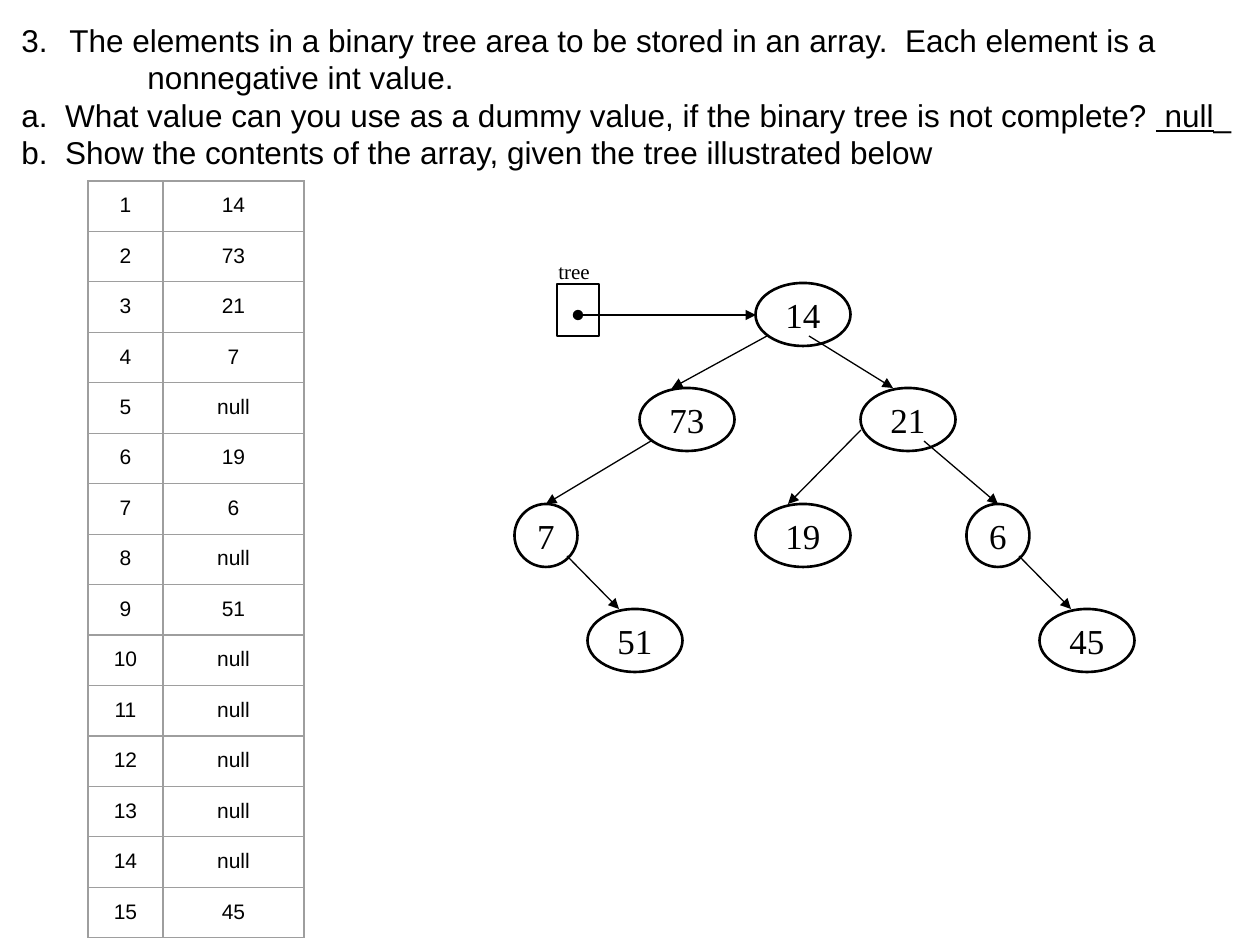
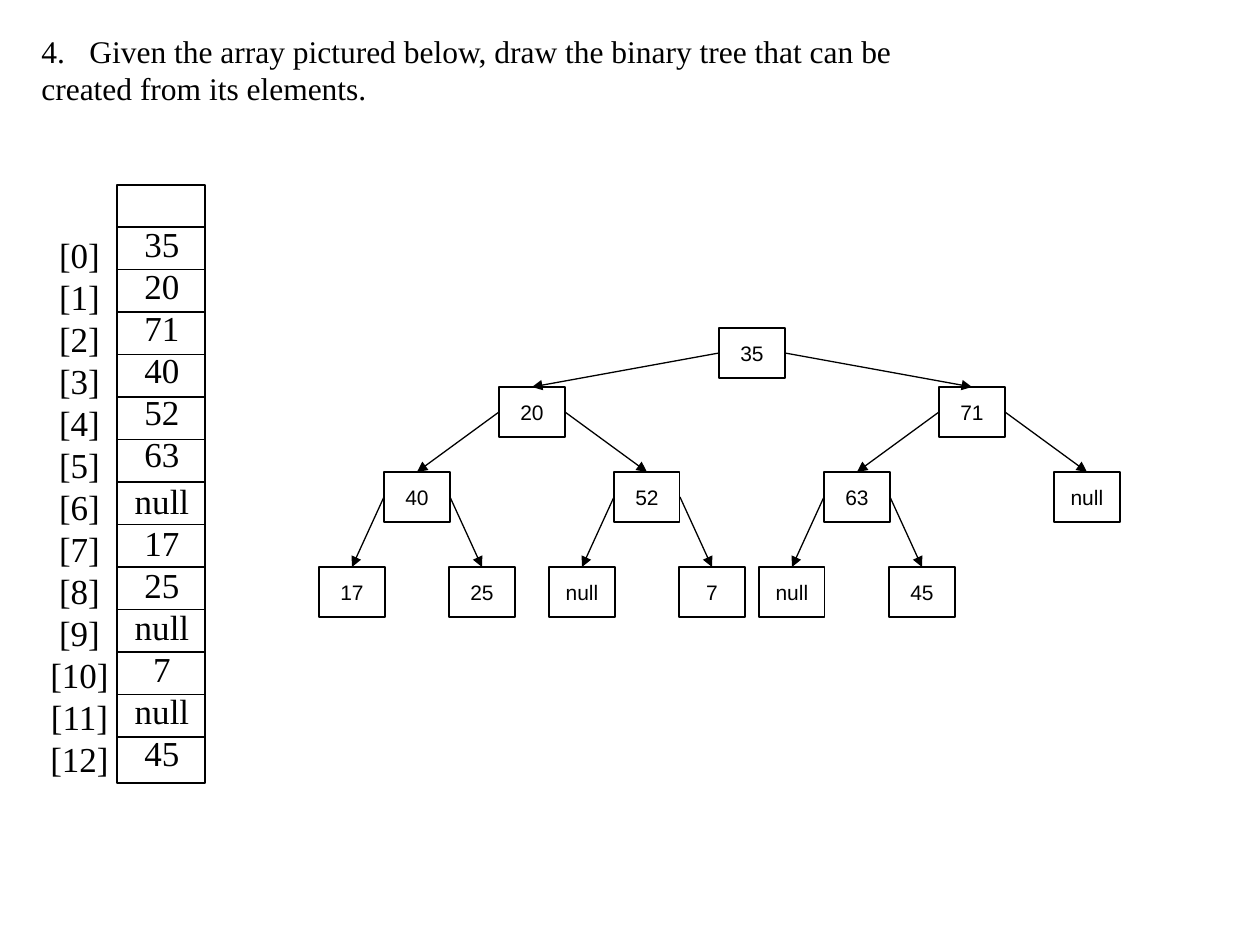
"""Builds two exercise slides about storing binary trees in arrays."""
from pptx import Presentation
from pptx import util as u
from pptx.dml.color import RGBColor
from pptx.enum import shapes, text
from pptx.oxml.ns import qn
from lxml import etree

PX = 914400 / 126
COLORS = {"ink": "000000", "grid": "9E9E9E"}
SANS, SERIF = "Arial", "Times New Roman"
CENTER = text.PP_ALIGN.CENTER
RECT, OVAL = shapes.MSO_SHAPE.RECTANGLE, shapes.MSO_SHAPE.OVAL
INDENT = 48

TABLE_VALUES = [14, 73, 21, 7, "null", 19, 6, "null", 51,
                "null", "null", "null", "null", "null", 45]
# value: (centre x, centre y, width)
OVAL_NODES = {14: (803, 315, 95), 73: (687, 420, 95), 21: (908, 420, 95),
              7: (546, 536, 63), 19: (803, 536, 95), 6: (998, 536, 63),
              51: (635, 641, 95), 45: (1087, 641, 95)}
OVAL_ARROWS = [(767, 336, 672, 388), (809, 336, 893, 388),
               (651, 441, 546, 504), (861, 430, 788, 504),
               (924, 441, 998, 504), (567, 556, 619, 609),
               (1019, 556, 1071, 609)]
HEAP = [35, 20, 71, 40, 52, 63, "null", 17, 25, "null", 7, "null", 45]
LEVEL_TOPS = [328, 387, 472, 567]
CHILD_OFFSETS = [220, 115, 65]


def px(n):
    """Turn pixels into EMU."""
    return u.Emu(round(n * PX))


def rgb(name):
    """Look up a named colour."""
    return RGBColor.from_string(COLORS[name])


def sub(parent, tag, **attrs):
    """Append a DrawingML child element."""
    return etree.SubElement(parent, qn("a:" + tag), attrs)


def style_text(tf, font, size, align=None, line=None):
    """Format every paragraph and run of a text frame."""
    for p in tf.paragraphs:
        p.alignment = align
        if line:
            p.line_spacing = u.Pt(line)
        for r in p.runs:
            r.font.name, r.font.size = font, u.Pt(size)
            r.font.color.rgb = rgb("ink")


def add_text(slide, box, lines, font, size, align=None, line=None, wrap=True):
    """Add a text box with one paragraph for each line."""
    tf = slide.shapes.add_textbox(*map(px, box)).text_frame
    tf.word_wrap = wrap
    tf.text = "\n".join(lines)
    style_text(tf, font, size, align, line)
    return tf


def indent(p, left, hanging=INDENT):
    """Give a paragraph a left margin and a hanging first line."""
    pPr = p._p.get_or_add_pPr()
    pPr.set("marL", str(px(left)))
    pPr.set("indent", str(-px(hanging)))
    return pPr


def number(p, start):
    """Make a paragraph a numbered item with a hanging indent."""
    pPr = indent(p, INDENT)
    sub(pPr, "buFontTx")
    sub(pPr, "buAutoNum", type="arabicPeriod", startAt=str(start))


def add_box(slide, kind, box, label="", font=SANS, size=12, width=0.75):
    """Add an unfilled outlined shape with a centred label."""
    sp = slide.shapes.add_shape(kind, *map(px, box))
    sp.shadow.inherit = False
    sp.fill.background()
    sp.line.color.rgb = rgb("ink")
    sp.line.width = u.Pt(width)
    if label != "":
        tf = sp.text_frame
        tf.text = str(label)
        tf.word_wrap = True
        tf.vertical_anchor = text.MSO_ANCHOR.MIDDLE
        style_text(tf, font, size, CENTER)


def add_line(slide, ends, head=None, tail=None):
    """Add a thin straight line with optional end marks."""
    cx = slide.shapes.add_connector(shapes.MSO_CONNECTOR.STRAIGHT,
                                    *map(px, ends))
    cx.line.color.rgb = rgb("ink")
    cx.line.width = u.Pt(0.75)
    ln = cx.line._get_or_add_ln()
    if head:
        sub(ln, "headEnd", type=head)
    if tail:
        sub(ln, "tailEnd", type=tail)
    sub(cx._element.spPr, "effectLst")


def set_borders(cell):
    """Draw a thin grey line on each side of a cell."""
    tcPr = cell._tc.get_or_add_tcPr()
    for i, side in enumerate(("lnL", "lnR", "lnT", "lnB")):
        ln = etree.Element(qn("a:" + side), w=str(u.Pt(0.75)))
        fill = sub(ln, "solidFill")
        sub(fill, "srgbClr", val=COLORS["grid"])
        tcPr.insert(i, ln)


def add_index_table(slide, values, left, top, widths, height):
    """Add a two-column table of positions and values."""
    frame = slide.shapes.add_table(len(values), 2, px(left), px(top),
                                   px(sum(widths)), px(height))
    table = frame.table
    table.first_row = table.horz_banding = False
    for col, width in zip(table.columns, widths):
        col.width = px(width)
    for i, row in enumerate(table.rows):
        row.height = px(height / len(values))
        for cell, value in zip(row.cells, (i + 1, values[i])):
            cell.text = str(value)
            cell.margin_top = cell.margin_bottom = u.Inches(0.1)
            cell.fill.background()
            style_text(cell.text_frame, SANS, 12, CENTER)
            set_borders(cell)


def add_array(slide, values):
    """Draw the array column with its indexes and values."""
    left, top, width, height = 117, 185, 88, 598
    add_box(slide, RECT, (left, top, width, height))
    count = len(values)
    for i in range(count):
        y = 227 + i * 42.5
        add_line(slide, (left, y, left + width, y))
    add_text(slide, (29, 227, 101, 564), [f"[{i}]" for i in range(count)],
             SERIF, 20, CENTER, 24)
    tf = add_text(slide, (103, 216, 118, 570), [str(v) for v in values],
                  SERIF, 20, CENTER, 24)
    tf.paragraphs[values.index("null")].space_before = u.Pt(3)


def add_heap_tree(slide, values, i=0, level=0, x=752):
    """Draw the node at index i and, below it, its two subtrees."""
    width, height = 66, 50
    top = LEVEL_TOPS[level]
    add_box(slide, RECT, (x - width / 2, top, width, height), values[i])
    for child, side in ((2 * i + 1, -1), (2 * i + 2, 1)):
        if child < len(values):
            child_x = x + side * CHILD_OFFSETS[level]
            add_line(slide, (x + side * width / 2, top + height / 2,
                             child_x, LEVEL_TOPS[level + 1]), tail="triangle")
            add_heap_tree(slide, values, child, level + 1, child_x)


def tree_to_array_slide(slide):
    """Question 3: a linked tree and the table that stores it."""
    tf = add_text(slide, (9, 15, 1246, 165), [
        "The elements in a binary tree area to be stored in an array.  "
        "Each element is a",
        "nonnegative int value.",
        "a.  What value can you use as a dummy value, "
        "if the binary tree is not complete? ",
        "b.  Show the contents of the array, given the tree illustrated below",
    ], SANS, 18)
    first, second, dummy, contents = tf.paragraphs
    for answer, underlined in ((" null", True), ("_", False)):
        r = dummy.add_run()
        r.text = answer
        r.font.underline = underlined
    style_text(tf, SANS, 18, line=21.4)
    number(first, 3)
    indent(second, 126 + INDENT)
    indent(dummy, INDENT)
    indent(contents, INDENT)

    for value, (x, y, width) in OVAL_NODES.items():
        add_box(slide, OVAL, (x - width / 2, y - 32, width, 63), value,
                SERIF, 20, 1.5)
    for ends in OVAL_ARROWS:
        add_line(slide, ends, tail="triangle")
    add_box(slide, RECT, (557, 284, 42, 52))
    add_line(slide, (578, 315, 756, 315), "oval", "triangle")
    add_text(slide, (546, 252, 57, 38), ["tree"], SERIF, 12, wrap=False)
    add_index_table(slide, TABLE_VALUES, 88, 181, (75, 141), 756)


def array_to_tree_slide(slide):
    """Question 4: an array and the tree built from it."""
    tf = add_text(slide, (29, 26, 885, 89), [
        "Given the array pictured below, draw the binary tree that can be",
        "created from its elements."], SERIF, 18, line=21.4)
    number(tf.paragraphs[0], 4)
    add_array(slide, HEAP)
    add_heap_tree(slide, HEAP)


def main():
    """Build and save the presentation."""
    prs = Presentation()
    prs.slide_width, prs.slide_height = px(1260), px(945)
    for build in (tree_to_array_slide, array_to_tree_slide):
        build(prs.slides.add_slide(prs.slide_layouts[6]))
    prs.save("out.pptx")


main()
